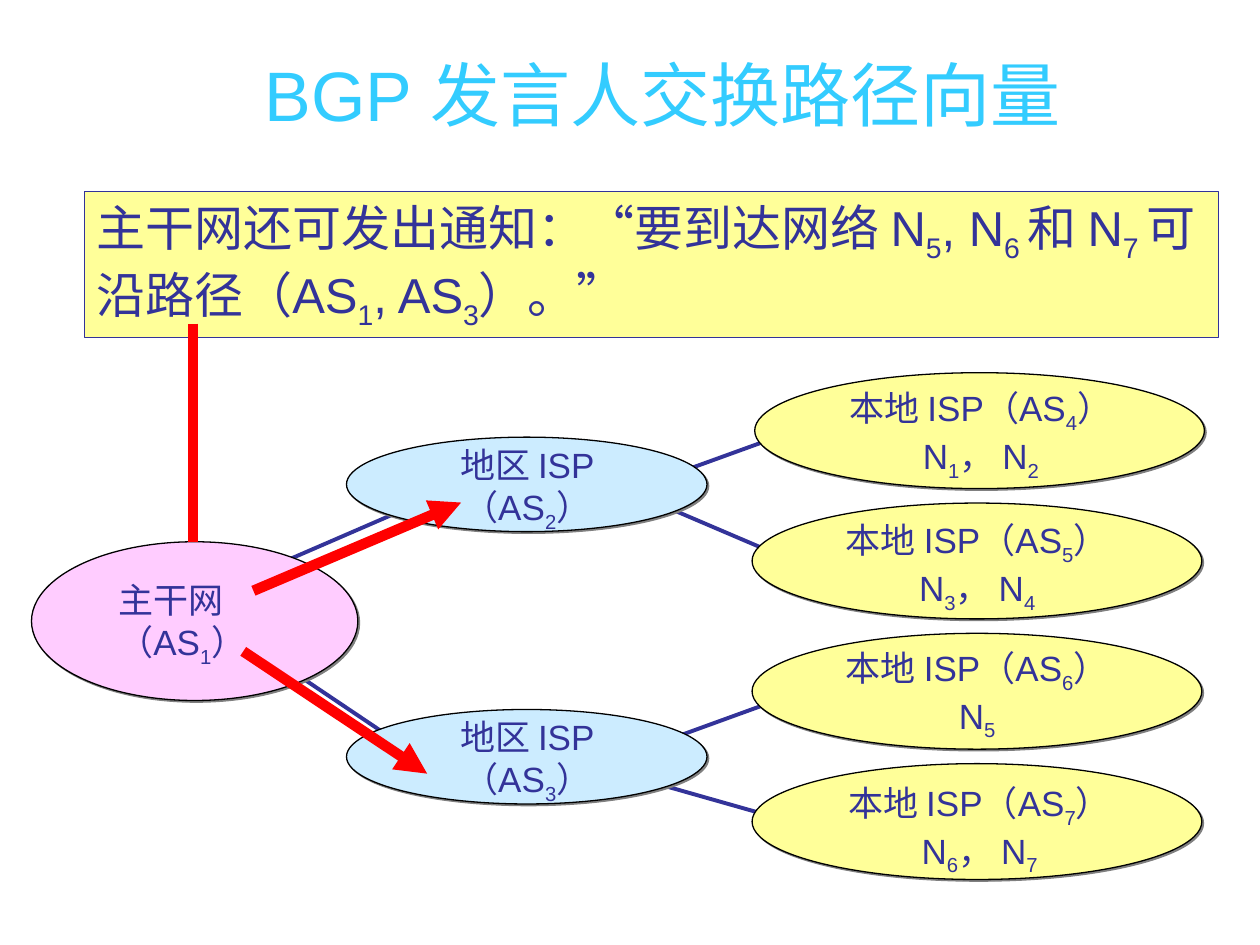
import lxml.etree
import pptx
import pptx.dml.color
import pptx.enum.shapes
import pptx.enum.text
import pptx.oxml.ns
import pptx.util

Pt = pptx.util.Pt
qn = pptx.oxml.ns.qn
Align = pptx.enum.text.PP_ALIGN
Kind = pptx.enum.shapes.MSO_SHAPE
HUES = {"title": "33CCFF", "ink": "333399", "edge": "000000", "shade": "808080",
        "main": "FFCCFF", "area": "CCECFF", "local": "FFFF99", "alert": "FF0000"}


def tint(name):
    """Return the named colour."""
    return pptx.dml.color.RGBColor.from_string(HUES[name])


def child(node, tag, **attrs):
    """Append a drawing element to a node."""
    return lxml.etree.SubElement(node, qn("a:" + tag), attrs)


def write(par, text, size, hue="ink", align=Align.LEFT):
    """Add runs split at bars, every second one as a subscript."""
    par.alignment = align
    for index, part in enumerate(text.split("|")):
        if part:
            run = par.add_run()
            run.text = part
            run.font.size = Pt(size)
            run.font.name = "Arial"
            run.font.color.rgb = tint(hue)
            if index % 2:
                run._r.get_or_add_rPr().set("baseline", "-25000")


def label(slide, box, lines, align=Align.CENTER):
    """Place an unwrapped text box with one paragraph per line."""
    frame = slide.shapes.add_textbox(*map(Pt, box)).text_frame
    frame.word_wrap = False
    for index, line in enumerate(lines):
        par = frame.add_paragraph() if index else frame.paragraphs[0]
        write(par, line, 20, align=align)


def block(slide, kind, box, fill, edge):
    """Place a filled shape with a thin outline."""
    shape = slide.shapes.add_shape(kind, *map(Pt, box))
    shape.fill.solid()
    shape.fill.fore_color.rgb = tint(fill)
    shape.line.color.rgb = tint(edge)
    shape.line.width = Pt(0.75)
    shape.shadow.inherit = False
    return shape


def oval(slide, box, fill):
    """Place an ellipse with a hard shadow."""
    shape = block(slide, Kind.OVAL, box, fill, "edge")
    effect = shape._element.spPr.find(qn("a:effectLst"))
    shade = child(effect, "outerShdw", dist=str(Pt(1.4)), dir="2700000",
                  algn="ctr", rotWithShape="0")
    child(shade, "srgbClr", val=HUES["shade"])


def link(slide, ends, hue, width, arrow=False):
    """Draw a straight line, with an arrowhead if asked."""
    line = slide.shapes.add_connector(
        pptx.enum.shapes.MSO_CONNECTOR.STRAIGHT, *map(Pt, ends))
    line.line.color.rgb = tint(hue)
    line.line.width = Pt(width)
    if arrow:
        child(line.line._get_or_add_ln(), "tailEnd", type="triangle")
    child(line._element.spPr, "effectLst")


def title(slide, box):
    """Fill and place the title."""
    shape = slide.shapes.title
    shape.left, shape.top, shape.width, shape.height = map(Pt, box)
    frame = shape.text_frame
    frame.word_wrap = True
    frame.vertical_anchor = pptx.enum.text.MSO_ANCHOR.MIDDLE
    write(frame.paragraphs[0], "BGP 发言人交换路径向量 ", 40, "title", Align.CENTER)


def tree(slide, box):
    """Draw the backbone, regional and local networks."""
    left, top, wide, high = box
    for x, y, right, low in [
            (128.9, 114.6, 225.4, 72.8), (128.9, 157.1, 218.9, 217.6),
            (360, 60.6, 443.5, 30.4), (353.5, 72.8, 437.8, 108.8),
            (360, 211.1, 443.5, 180.8), (360, 235.6, 443.5, 259.3)]:
        link(slide, (left + x, top + y, left + right, top + low), "ink", 2.25)

    areas = [(36.8, "2"), (192.4, "3")]
    for y, num in areas:
        oval(slide, (left + 180, top + y, 206, 54), "area")
    oval(slide, (left, top + 96.6, 186.5, 90.7), "main")

    tall = 66.2
    step = (high - tall) / 3
    locs = [(1.5, 37.4, 4.4, "4", "N|1|， N|2"), (0, 36.8, 5.5, "5", "N|3|， N|4"),
            (0, 36.8, 3.8, "6", "N|5"), (0, 38.2, 6.5, "7", "N|6|， N|7")]
    base = left + wide - 258.5
    for row, (x, *rest) in enumerate(locs):
        oval(slide, (base + x, top + row * step, 257, tall), "local")

    label(slide, (left + 42.5, top + 113.9, 97.2, 59), ["主干网", "（AS|1|）"], Align.LEFT)
    for y, num in areas:
        label(slide, (left + 234.7, top + y, 97.2, 59), ["地区 ISP", f"（AS|{num}|）"])
    for row, (x, dx, dy, num, nets) in enumerate(locs):
        spot = (base + x + dx, top + row * step + dy, 183.6, 62)
        label(slide, spot, [f"本地 ISP（AS|{num}|）", nets])


def notice(slide, box):
    """Place the announcement above the networks."""
    frame = block(slide, Kind.RECTANGLE, box, "local", "ink").text_frame
    frame.word_wrap = True
    frame.vertical_anchor = pptx.enum.text.MSO_ANCHOR.TOP
    write(frame.paragraphs[0], "主干网还可发出通知：“要到达网络 N|5|, N|6 |和 N|7 |"
                               "可沿路径（AS|1|, AS|3|）。”", 28)


def routes(slide, box):
    """Draw the red stem and the two arrows from the backbone."""
    left, top, wide, high = box
    link(slide, (left, top, left, top + 124.6), "alert", 6)
    link(slide, (left + 34.6, top + 152.6, left + wide, top + 102.2), "alert", 6, True)
    link(slide, (left + 28.8, top + 187.2, left + 133.9, top + high), "alert", 6, True)


def main():
    """Build the slide and save it."""
    deck = pptx.Presentation()
    deck.slide_width, deck.slide_height = Pt(720), Pt(540)
    slide = deck.slides.add_slide(deck.slide_layouts[5])
    title(slide, (76.3, 20.2, 613.4, 66.2))
    tree(slide, (18, 213, 670.3, 289.6))
    notice(slide, (48.2, 109.4, 648, 83.5))
    routes(slide, (110.2, 185, 153.3, 257.1))
    deck.save("out.pptx")


if __name__ == "__main__":
    main()
